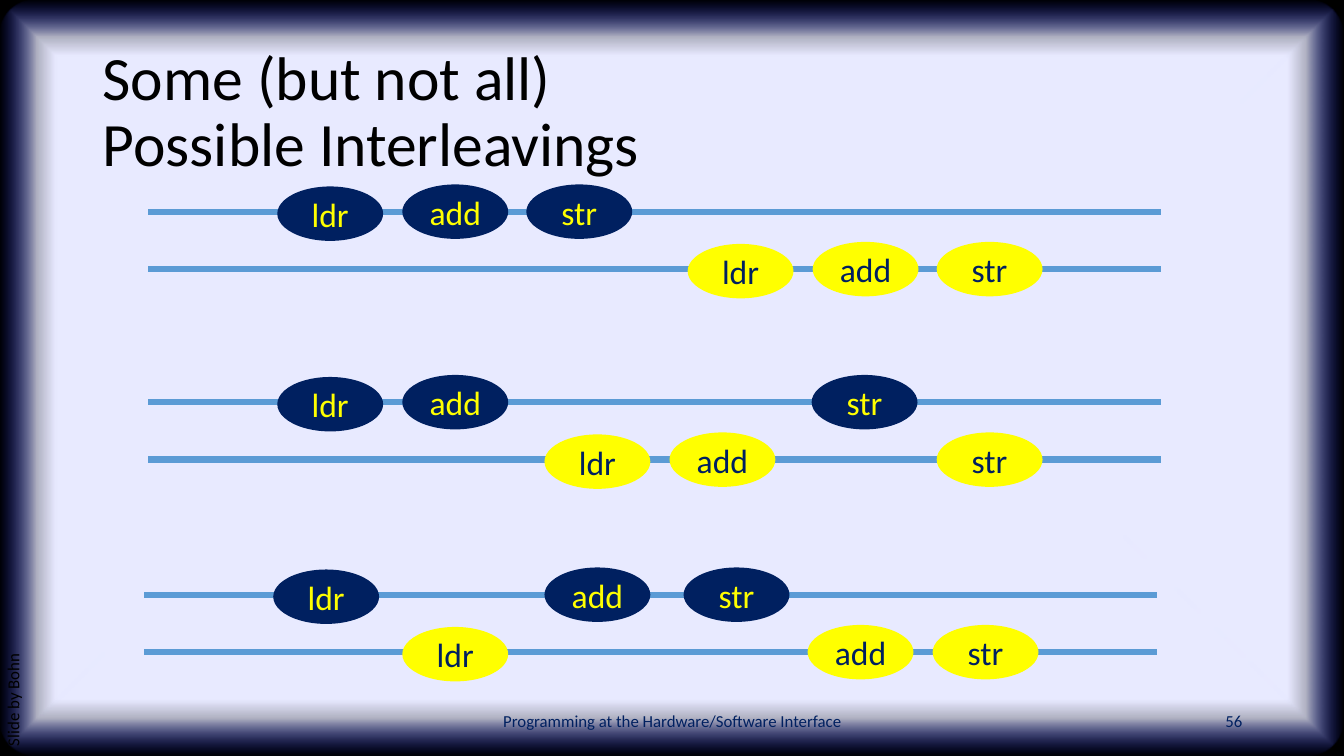
from dataclasses import dataclass

from lxml.etree import SubElement
from pptx import Presentation
from pptx.dml.color import RGBColor
from pptx.enum.shapes import MSO_CONNECTOR as Link, MSO_SHAPE as Shape
from pptx.enum.text import MSO_ANCHOR as Anchor, PP_ALIGN as Align
from pptx.oxml import parse_xml
from pptx.oxml.ns import nsdecls, qn
from pptx.util import Inches, Pt

BLACK = RGBColor(0x00, 0x00, 0x00)
NAVY = RGBColor(0x00, 0x20, 0x60)
YELLOW = RGBColor(0xFF, 0xFF, 0x00)
BLUE = RGBColor(0x5B, 0x9B, 0xD5)
FONT = "Calibri"
WIDE, HIGH = 13.33, 7.5
SPAN = 10.05
OVAL_W, OVAL_H = 1.05, 0.54
STEPS = ("ldr", "add", "str")
GLOW = f"""<a:gradFill {nsdecls('a')} rotWithShape="1"><a:gsLst>
<a:gs pos="85000"><a:srgbClr val="E8EAFF"/></a:gs>
<a:gs pos="90000"><a:srgbClr val="E8EAFF"><a:alpha val="75000"/></a:srgbClr></a:gs>
<a:gs pos="100000"><a:srgbClr val="162AFF"><a:alpha val="0"/></a:srgbClr></a:gs>
</a:gsLst><a:path path="shape">
<a:fillToRect l="50000" t="50000" r="50000" b="50000"/></a:path></a:gradFill>"""


@dataclass
class Label:
    text: str
    left: float
    top: float
    width: float
    height: float
    size: int = 12
    color: RGBColor = NAVY
    align: Align = Align.LEFT
    anchor: Anchor = Anchor.MIDDLE
    turn: int = 0
    pitch: float = 1.0


@dataclass
class Thread:
    y: float
    start: float
    fill: RGBColor
    ink: RGBColor
    lefts: tuple[float, float, float]


@dataclass
class Order:
    """Two threads, each with the left edges of its three steps."""
    y: float
    start: float
    dark: tuple[float, float, float]
    light: tuple[float, float, float]

    def threads(self) -> list[Thread]:
        return [Thread(self.y, self.start, NAVY, YELLOW, self.dark),
                Thread(self.y + 0.57, self.start, YELLOW, NAVY, self.light)]


LABELS = [
    Label("Some (but not all)\nPossible Interleavings", 0.92, 0.4, 11.5, 1.45,
          44, BLACK, pitch=0.9),
    Label("Programming at the Hardware/Software Interface", 4.42, 6.95, 4.5, 0.4,
          align=Align.CENTER),
    Label("56", 9.42, 6.95, 3, 0.4, align=Align.RIGHT),
    Label("Slide by Bohn", -2.44, 4.66, 5.28, 0.4, color=BLACK,
          anchor=Anchor.TOP, turn=270, pitch=0.9),
]
ORDERS = [
    Order(2.1, 1.47, (2.75, 3.99, 5.22), (6.82, 8.06, 9.29)),
    Order(3.99, 1.47, (2.75, 3.99, 8.05), (5.4, 6.64, 9.29)),
    Order(5.9, 1.43, (2.71, 5.4, 6.78), (3.99, 8.01, 9.25)),
]


def add_run(para, text: str, size: int, color: RGBColor) -> None:
    run = para.add_run()
    run.text = text
    run.font.name = FONT
    run.font.size = Pt(size)
    run.font.color.rgb = color


def add_solid(slide, kind: Shape, left: float, top: float, width: float,
              height: float, fill: RGBColor):
    shape = slide.shapes.add_shape(
        kind, Inches(left), Inches(top), Inches(width), Inches(height))
    shape.shadow.inherit = False
    shape.fill.solid()
    shape.fill.fore_color.rgb = fill
    shape.line.fill.background()
    return shape


def add_frame(slide) -> None:
    """Black ground with a rounded panel that fades out at its edges."""
    add_solid(slide, Shape.RECTANGLE, 0, 0, WIDE, HIGH, BLACK)
    panel = add_solid(slide, Shape.ROUNDED_RECTANGLE, 0, 0, WIDE, HIGH, BLACK)
    panel.adjustments[0] = 0.05
    props = panel._element.spPr
    props.replace(props.find(qn("a:solidFill")), parse_xml(GLOW))


def add_label(slide, label: Label) -> None:
    box = slide.shapes.add_textbox(Inches(label.left), Inches(label.top),
                                   Inches(label.width), Inches(label.height))
    box.rotation = label.turn
    frame = box.text_frame
    frame.word_wrap = True
    frame.vertical_anchor = label.anchor
    para = frame.paragraphs[0]
    para.alignment = label.align
    para.line_spacing = label.pitch
    for i, line in enumerate(label.text.split("\n")):
        if i:
            para.add_line_break()
        add_run(para, line, label.size, label.color)


def add_step(slide, name: str, left: float, thread: Thread) -> None:
    rise = 0.25 if name == "ldr" else 0.27
    oval = add_solid(slide, Shape.OVAL, left, thread.y - rise,
                     OVAL_W, OVAL_H, thread.fill)
    frame = oval.text_frame
    frame.word_wrap = False
    frame.vertical_anchor = Anchor.MIDDLE
    para = frame.paragraphs[0]
    para.alignment = Align.CENTER
    add_run(para, name, 24, thread.ink)


def add_thread(slide, thread: Thread) -> None:
    y = Inches(thread.y)
    line = slide.shapes.add_connector(
        Link.STRAIGHT, Inches(thread.start), y, Inches(thread.start + SPAN), y)
    line.line.color.rgb = BLUE
    line.line.width = Pt(4.5)
    SubElement(line._element.spPr, qn("a:effectLst"))
    for name, left in zip(STEPS, thread.lefts):
        add_step(slide, name, left, thread)


def main() -> None:
    deck = Presentation()
    deck.slide_width, deck.slide_height = Inches(WIDE), Inches(HIGH)
    slide = deck.slides.add_slide(deck.slide_layouts[6])
    add_frame(slide)
    for label in LABELS:
        add_label(slide, label)
    for order in ORDERS:
        for thread in order.threads():
            add_thread(slide, thread)
    deck.save("out.pptx")


if __name__ == "__main__":
    main()
